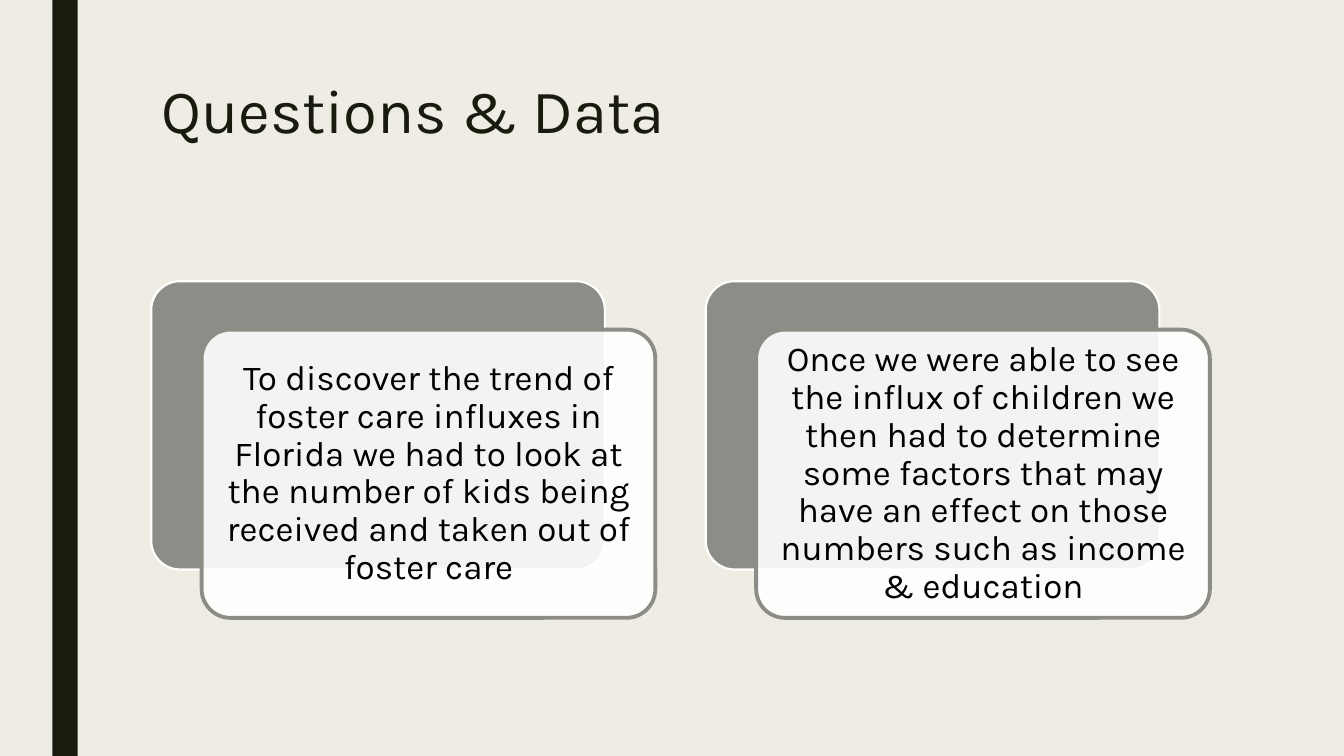
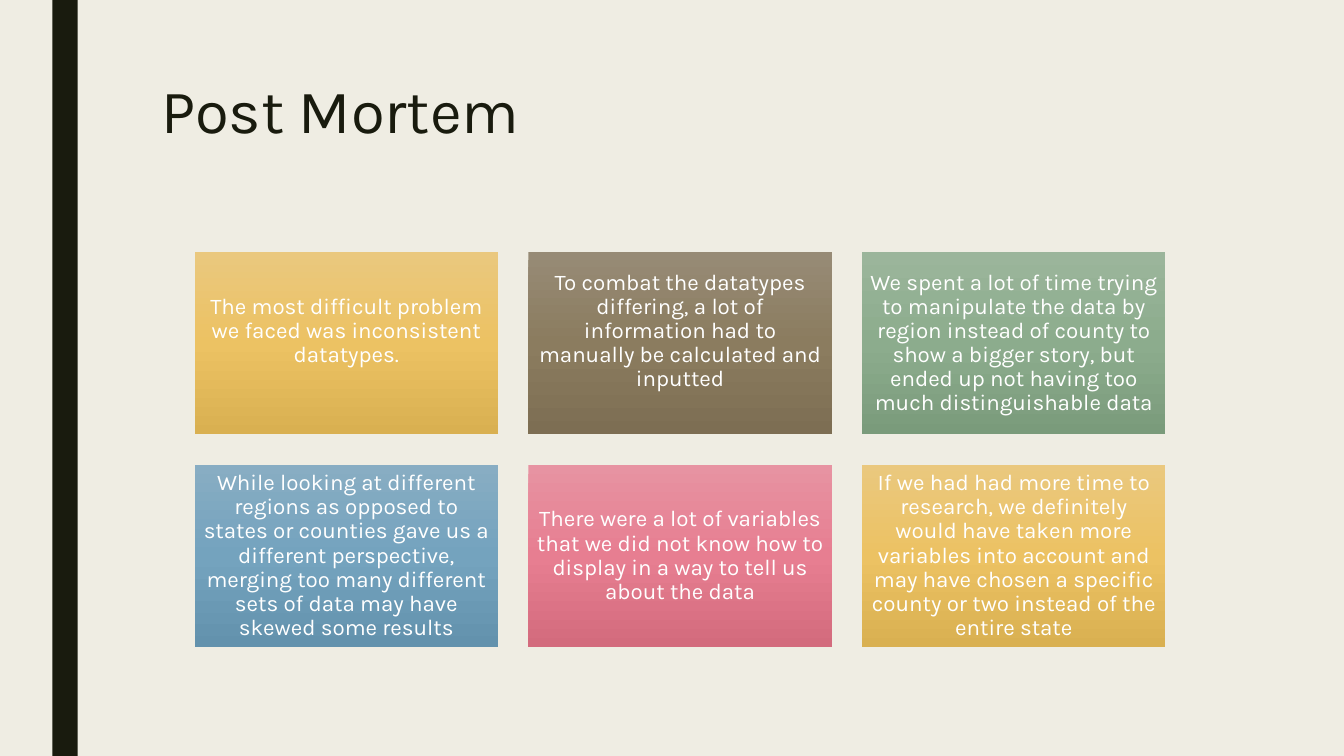
import lxml.etree
import pptx
import pptx.dml.color
import pptx.enum.shapes
import pptx.enum.text
import pptx.oxml.ns
import pptx.util

Inches = pptx.util.Inches
Pt = pptx.util.Pt
RGBColor = pptx.dml.color.RGBColor
Shape = pptx.enum.shapes.MSO_SHAPE
Align = pptx.enum.text.PP_ALIGN
Anchor = pptx.enum.text.MSO_ANCHOR
qn = pptx.oxml.ns.qn

FONT = "Karla"
CREAM = RGBColor(0xEF, 0xED, 0xE3)
INK = RGBColor(0x19, 0x1B, 0x0E)
GRAY = RGBColor(0x8C, 0x8D, 0x86)
BLACK = RGBColor(0, 0, 0)
WHITE = RGBColor(0xFF, 0xFF, 0xFF)

# Gradient stops from top to bottom
GOLD = (RGBColor(0xEA, 0xC8, 0x7E), RGBColor(0xEC, 0xC2, 0x63), RGBColor(0xD9, 0xB0, 0x51))
BROWN = (RGBColor(0x97, 0x8B, 0x76), RGBColor(0x8B, 0x7C, 0x5F), RGBColor(0x7D, 0x6E, 0x53))
GREEN = (RGBColor(0x9B, 0xB5, 0x9B), RGBColor(0x8C, 0xAC, 0x8D), RGBColor(0x7A, 0x9B, 0x7B))
BLUE = (RGBColor(0x88, 0xAD, 0xC3), RGBColor(0x74, 0xA3, 0xBE), RGBColor(0x63, 0x92, 0xAD))
PINK = (RGBColor(0xE7, 0x93, 0xA2), RGBColor(0xE7, 0x7E, 0x91), RGBColor(0xD3, 0x6B, 0x7D))

QUESTIONS = [
    "To discover the trend of foster care influxes in Florida we had to look at "
    "the number of kids being received and taken out of foster care",
    "Once we were able to see the influx of children we then had to determine "
    "some factors that may have an effect on those numbers such as income & education",
]

# Text, gradient, extra room below the text
LESSONS = [
    ("The most difficult problem we faced was inconsistent datatypes.", GOLD, 0.24),
    ("To combat the datatypes differing, a lot of information had to manually be "
     "calculated and inputted", BROWN, 0.24),
    ("We spent a lot of time trying to manipulate the data by region instead of county "
     "to show a bigger story, but ended up not having too much distinguishable data",
     GREEN, 0),
    ("While looking at different regions as opposed to states or counties gave us a "
     "different perspective, merging too many different sets of data may have skewed "
     "some results", BLUE, 0),
    ("There were a lot of variables that we did not know how to display in a way to "
     "tell us about the data", PINK, 0),
    ("If we had had more time to research, we definitely would have taken more variables "
     "into account and may have chosen a specific county or two instead of the entire "
     "state", GOLD, 0),
]


def write_text(shape, text, *, size, color, align=Align.CENTER, anchor=Anchor.MIDDLE,
               spacing=0.9, insets=(0.1, 0.1, 0.1, 0.1)):
    """Fill a shape with one paragraph; insets run left, top, right, bottom."""
    frame = shape.text_frame
    frame.word_wrap = True
    frame.vertical_anchor = anchor
    (frame.margin_left, frame.margin_top,
     frame.margin_right, frame.margin_bottom) = map(Inches, insets)
    paragraph = frame.paragraphs[0]
    paragraph.alignment = align
    paragraph.line_spacing = spacing
    run = paragraph.add_run()
    run.text = text
    run.font.name = FONT
    run.font.size = Pt(size)
    run.font.color.rgb = color


def add_box(slide, kind, left, top, width, height, *, fill=None, line=None, line_width=1):
    shape = slide.shapes.add_shape(kind, *map(Inches, (left, top, width, height)))
    shape.shadow.inherit = False
    if fill is not None:
        shape.fill.solid()
        shape.fill.fore_color.rgb = fill
    if line is None:
        shape.line.fill.background()
    else:
        shape.line.color.rgb = line
        shape.line.width = Pt(line_width)
    return shape


def set_opacity(shape, percent):
    color = shape._element.spPr.find(qn("a:solidFill"))[0]
    lxml.etree.SubElement(color, qn("a:alpha")).set("val", str(percent * 1000))


def set_vertical_gradient(shape, colors):
    shape.fill.gradient()
    shape.fill.gradient_angle = 270
    stops = shape._element.spPr.find(qn("a:gradFill")).find(qn("a:gsLst"))
    for stop in list(stops):
        stops.remove(stop)
    for index, color in enumerate(colors):
        stop = lxml.etree.SubElement(stops, qn("a:gs"))
        stop.set("pos", str(index * 100000 // (len(colors) - 1)))
        lxml.etree.SubElement(stop, qn("a:srgbClr")).set("val", str(color))


def add_titled_slide(presentation, title):
    slide = presentation.slides.add_slide(presentation.slide_layouts[6])
    add_box(slide, Shape.RECTANGLE, 0.52, 0, 0.25, 7.5, fill=INK)
    title_box = slide.shapes.add_textbox(*map(Inches, (1.5, 0.75, 10.5, 1.62)))
    write_text(title_box, title, size=44, color=INK, align=Align.LEFT, anchor=Anchor.TOP,
               spacing=0.89, insets=(0.1, 0.05, 0.1, 0.05))
    return slide


def add_layered_card(slide, left, top, text):
    """A translucent text card in front of a gray one."""
    width, height = 4.5, 2.86
    back = add_box(slide, Shape.ROUNDED_RECTANGLE, left, top, width, height,
                   fill=GRAY, line=WHITE, line_width=1.5)
    front = add_box(slide, Shape.ROUNDED_RECTANGLE, left + 0.5, top + 0.48, width, height,
                    fill=WHITE, line=GRAY, line_width=2.75)
    set_opacity(front, 90)
    for card in (back, front):
        card.adjustments[0] = 0.1
    write_text(front, text, size=25, color=BLACK)


def add_lesson_tile(slide, left, top, width, height, text, colors, room_below):
    tile = add_box(slide, Shape.RECTANGLE, left, top, width, height)
    set_vertical_gradient(tile, colors)
    write_text(tile, text, size=16, color=WHITE,
               insets=(0.07, 0.07, 0.07, 0.07 + room_below))


def build_questions(presentation):
    slide = add_titled_slide(presentation, "Questions & Data")
    for column, text in enumerate(QUESTIONS):
        add_layered_card(slide, 1.5 + column * 5.5, 2.79, text)


def build_post_mortem(presentation):
    slide = add_titled_slide(presentation, "Post Mortem")
    width, height, gap = 3.01, 1.81, 0.3
    for index, lesson in enumerate(LESSONS):
        row, column = divmod(index, 3)
        add_lesson_tile(slide, 1.93 + column * (width + gap), 2.5 + row * (height + gap),
                        width, height, *lesson)


def main():
    presentation = pptx.Presentation()
    presentation.slide_width = Inches(13.33)
    presentation.slide_height = Inches(7.5)
    background = presentation.slide_master.background.fill
    background.solid()
    background.fore_color.rgb = CREAM
    build_questions(presentation)
    build_post_mortem(presentation)
    presentation.save("out.pptx")


if __name__ == "__main__":
    main()
